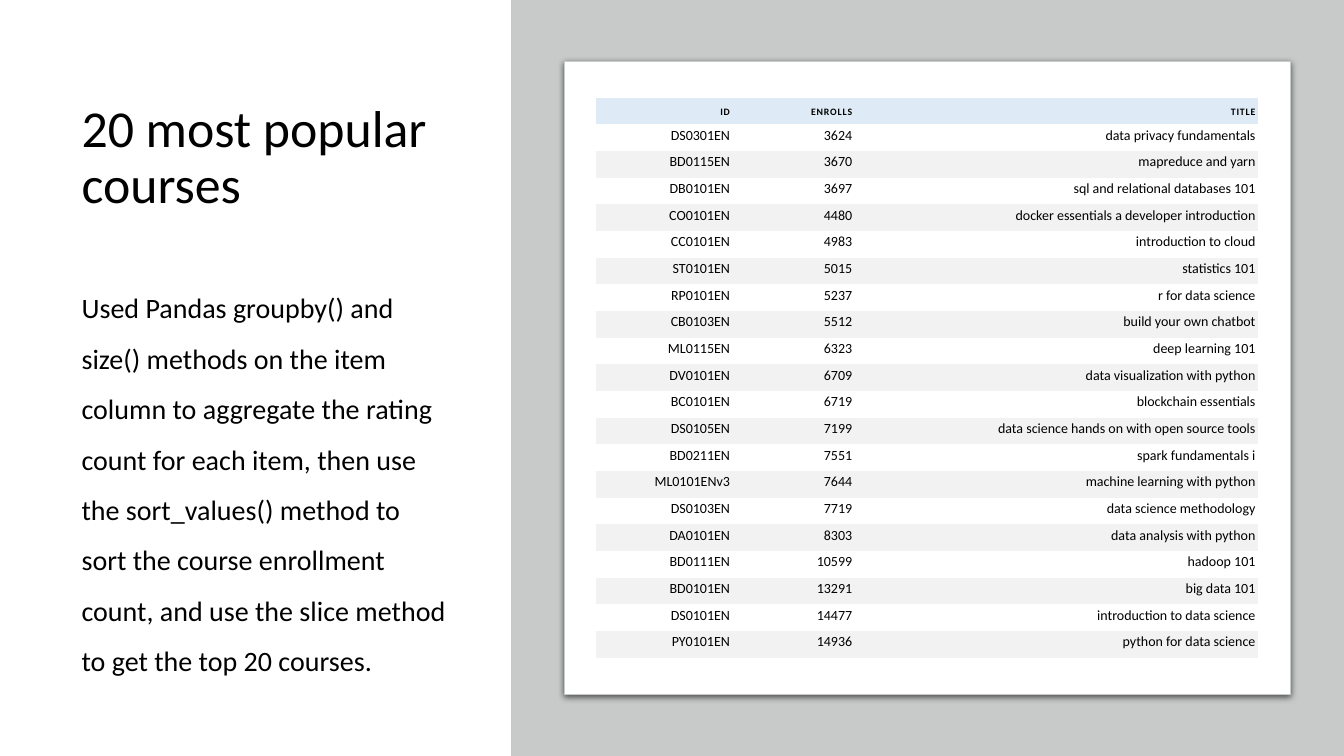
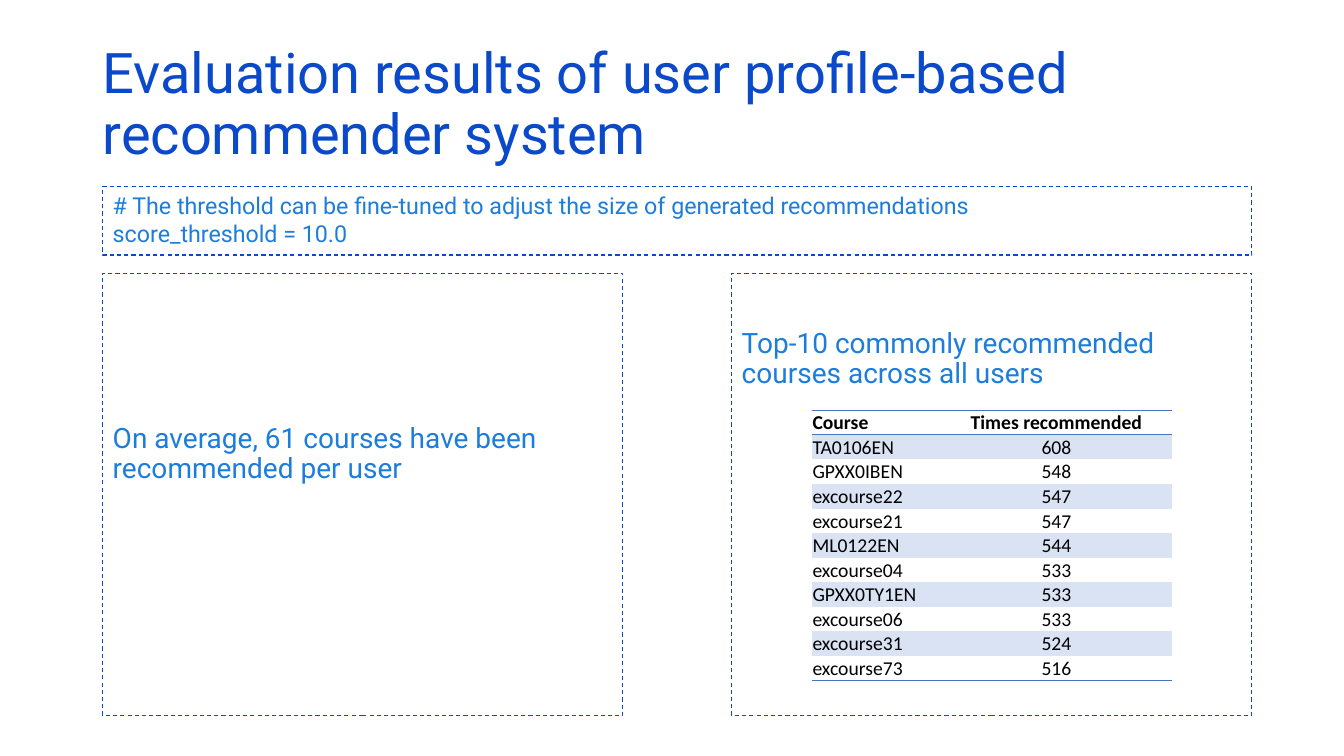
from lxml import etree
from pptx import Presentation
from pptx import util as u
from pptx.dml.color import RGBColor
from pptx.enum import dml, shapes, text
from pptx.oxml import ns

BLACK = RGBColor(0x00, 0x00, 0x00)
WHITE = RGBColor(0xFF, 0xFF, 0xFF)
GREY = RGBColor(0xC8, 0xCA, 0xCA)
PALE = RGBColor(0xF2, 0xF2, 0xF2)
SKY = RGBColor(0xDE, 0xEB, 0xF7)
NAVY = RGBColor(0x0B, 0x49, 0xCB)
BLUE = RGBColor(0x1C, 0x7D, 0xDB)
RULE = RGBColor(0x44, 0x72, 0xC4)
TINT = RGBColor(0xDA, 0xE3, 0xF3)

PLAIN = "{2D5ABB26-0587-4C30-8999-92F81FD0307C}"  # no style, no grid
LEFT, MID, RIGHT = text.PP_ALIGN.LEFT, text.PP_ALIGN.CENTER, text.PP_ALIGN.RIGHT
TOP, CENTRE, BASE = (text.MSO_ANCHOR.TOP, text.MSO_ANCHOR.MIDDLE,
                     text.MSO_ANCHOR.BOTTOM)

POPULAR = [
    ("ID", "ENROLLS", "TITLE"),
    ("DS0301EN", "3624", "data privacy fundamentals"),
    ("BD0115EN", "3670", "mapreduce and yarn"),
    ("DB0101EN", "3697", "sql and relational databases 101"),
    ("CO0101EN", "4480", "docker essentials a developer introduction"),
    ("CC0101EN", "4983", "introduction to cloud"),
    ("ST0101EN", "5015", "statistics 101"),
    ("RP0101EN", "5237", "r for data science"),
    ("CB0103EN", "5512", "build your own chatbot"),
    ("ML0115EN", "6323", "deep learning 101"),
    ("DV0101EN", "6709", "data visualization with python"),
    ("BC0101EN", "6719", "blockchain essentials"),
    ("DS0105EN", "7199", "data science hands on with open source tools"),
    ("BD0211EN", "7551", "spark fundamentals i"),
    ("ML0101ENv3", "7644", "machine learning with python"),
    ("DS0103EN", "7719", "data science methodology"),
    ("DA0101EN", "8303", "data analysis with python"),
    ("BD0111EN", "10599", "hadoop 101"),
    ("BD0101EN", "13291", "big data 101"),
    ("DS0101EN", "14477", "introduction to data science"),
    ("PY0101EN", "14936", "python for data science"),
]
ADVISED = [
    ("Course", "Times recommended"),
    ("TA0106EN", "608"),
    ("GPXX0IBEN", "548"),
    ("excourse22", "547"),
    ("excourse21", "547"),
    ("ML0122EN", "544"),
    ("excourse04", "533"),
    ("GPXX0TY1EN", "533"),
    ("excourse06", "533"),
    ("excourse31", "524"),
    ("excourse73", "516"),
]


class Deck:
    """Holds the style and the current slide; lengths are percent of the slide."""

    def __init__(self):
        self.show = Presentation()
        self.show.slide_width = u.Inches(13.33)
        self.show.slide_height = u.Inches(7.5)
        self.slide = None

    def add(self):
        self.slide = self.show.slides.add_slide(self.show.slide_layouts[6])

    def wide(self, part):
        return u.Emu(round(self.show.slide_width * part / 100))

    def high(self, part):
        return u.Emu(round(self.show.slide_height * part / 100))

    def place(self, x, y, w, h):
        return self.wide(x), self.high(y), self.wide(w), self.high(h)

    def font(self, para, face, size, color, bold=False):
        for run in para.runs:
            run.font.name = face
            run.font.size = u.Pt(size)
            run.font.color.rgb = color
            run.font.bold = bold

    def fill(self, item, color):
        if color is None:
            item.fill.background()
        else:
            item.fill.solid()
            item.fill.fore_color.rgb = color

    def prose(self, frame, words, face, size, color, line, anchor=TOP):
        frame.word_wrap = True
        frame.vertical_anchor = anchor
        frame.text = words
        for para in frame.paragraphs:
            para.alignment = LEFT
            para.line_spacing = line
            self.font(para, face, size, color)

    def label(self, box, words, face, size, color, line=0.9, anchor=TOP):
        item = self.slide.shapes.add_textbox(*self.place(*box))
        self.prose(item.text_frame, words, face, size, color, line, anchor)

    def rect(self, box, fill=None, edge=None):
        item = self.slide.shapes.add_shape(
            shapes.MSO_SHAPE.RECTANGLE, *self.place(*box))
        item.shadow.inherit = False
        self.fill(item, fill)
        if edge is None:
            item.line.fill.background()
        else:
            item.line.color.rgb = edge
            item.line.width = u.Pt(0.75)
        return item

    def card(self, box):
        """White sheet with a soft shadow below it."""
        item = self.rect(box, WHITE, GREY)
        glow = item._element.spPr.find(ns.qn("a:effectLst"))
        drop = etree.SubElement(
            glow, ns.qn("a:outerShdw"), blurRad=str(u.Pt(4.5)),
            dist=str(u.Pt(1.5)), dir="5400000", algn="t", rotWithShape="0")
        tone = etree.SubElement(drop, ns.qn("a:srgbClr"), val=str(BLACK))
        etree.SubElement(tone, ns.qn("a:alpha"), val="63000")

    def panel(self, box, words, size, line=0.9, drop=0.05):
        """Dashed box whose text starts drop inches below its top."""
        item = self.rect(box, edge=NAVY)
        item.line.dash_style = dml.MSO_LINE.DASH
        frame = item.text_frame
        frame.margin_top = u.Inches(drop)
        self.prose(frame, words, "Roboto", size, BLUE, line)

    def table(self, x, y, cols, step, rows):
        shape = self.slide.shapes.add_table(
            len(rows), len(cols),
            *self.place(x, y, sum(cols), step * len(rows)))
        grid = shape.table
        grid.first_row = grid.horz_banding = False
        grid._tbl.tblPr.find(ns.qn("a:tableStyleId")).text = PLAIN
        for col, part in zip(grid.columns, cols):
            col.width = self.wide(part)
        for row in grid.rows:
            row.height = self.high(step)
        return grid

    def cell(self, cell, words, size, align, anchor, pad, fill=None, bold=False):
        """Fill one cell; pad gives side, top and bottom margins in inches."""
        side, top, base = map(u.Inches, pad)
        cell.margin_left = cell.margin_right = side
        cell.margin_top, cell.margin_bottom = top, base
        cell.vertical_anchor = anchor
        cell.text = words
        para = cell.text_frame.paragraphs[0]
        para.alignment = align
        self.font(para, "Calibri", size, BLACK, bold)
        self.fill(cell, fill)

    def border(self, cell, *sides):
        """Rule the given sides, named in schema order (lnT before lnB)."""
        for spot, side in enumerate(sides):
            edge = etree.Element(ns.qn("a:" + side), w=str(u.Pt(1)))
            paint = etree.SubElement(edge, ns.qn("a:solidFill"))
            etree.SubElement(paint, ns.qn("a:srgbClr"), val=str(RULE))
            cell._tc.get_or_add_tcPr().insert(spot, edge)


def popular(deck):
    deck.add()
    x, w = 5.33, 28.73
    deck.label((x, 9.2, w, 23.6), "20 most popular courses",
               "Calibri", 37, BLACK, anchor=CENTRE)
    deck.label((x, 35.6, w, 55.2),
               "Used Pandas groupby() and size() methods on the item column to "
               "aggregate the rating count for each item, then use the "
               "sort_values() method to sort the course enrollment count, and "
               "use the slice method to get the top 20 courses.",
               "Calibri", 20, BLACK, line=1.5)
    deck.rect((38.03, 0, 61.97, 100), GREY)
    deck.card((42, 8.13, 54, 83.73))
    grid = deck.table(44.33, 12.93, (10.2, 9.1, 30), 3.53, POPULAR)
    for r, row in enumerate(POPULAR):
        for c, words in enumerate(row):
            cell = grid.cell(r, c)
            if r:
                deck.cell(cell, words, 10, RIGHT, CENTRE, (0.03, 0.01, 0.06),
                          None if r % 2 else PALE)
            else:
                deck.cell(cell, words, 7, RIGHT, BASE, (0.03, 0.06, 0.06),
                          SKY, True)
                run = cell.text_frame.paragraphs[0].runs[0]
                run._r.get_or_add_rPr().set("spc", "60")


def results(deck):
    deck.add()
    deck.label((6.9, 5.33, 86.25, 19.33),
               "Evaluation results of user profile-based recommender system",
               "Roboto", 40, NAVY)
    x, full, half = 7.65, 85.5, 38.7
    y, h = 36.13, 58.53
    deck.panel((x + full - half, y, half, h),
               "Top-10 commonly recommended courses across all users",
               20, drop=0.56)
    deck.panel((x, y, half, h),
               "On average, 61 courses have been recommended per user",
               20, drop=1.5)
    deck.panel((x, 24.67, full, 9.07),
               "# The threshold can be fine-tuned to adjust the size of "
               "generated recommendations\nscore_threshold = 10.0",
               16.6, line=1.0)
    grid = deck.table(60.38, 54.27, (9.6, 17.25), 3.2, ADVISED)
    last = len(ADVISED) - 1
    for r, row in enumerate(ADVISED):
        for c, words in enumerate(row):
            cell = grid.cell(r, c)
            deck.cell(cell, words, 14, MID if c else LEFT, BASE,
                      (0.01, 0.01, 0), TINT if r % 2 else None, r == 0)
            if r == 0:
                deck.border(cell, "lnT", "lnB")
            elif r == last:
                deck.border(cell, "lnB")


def main():
    deck = Deck()
    popular(deck)
    results(deck)
    deck.show.save("out.pptx")


if __name__ == "__main__":
    main()
